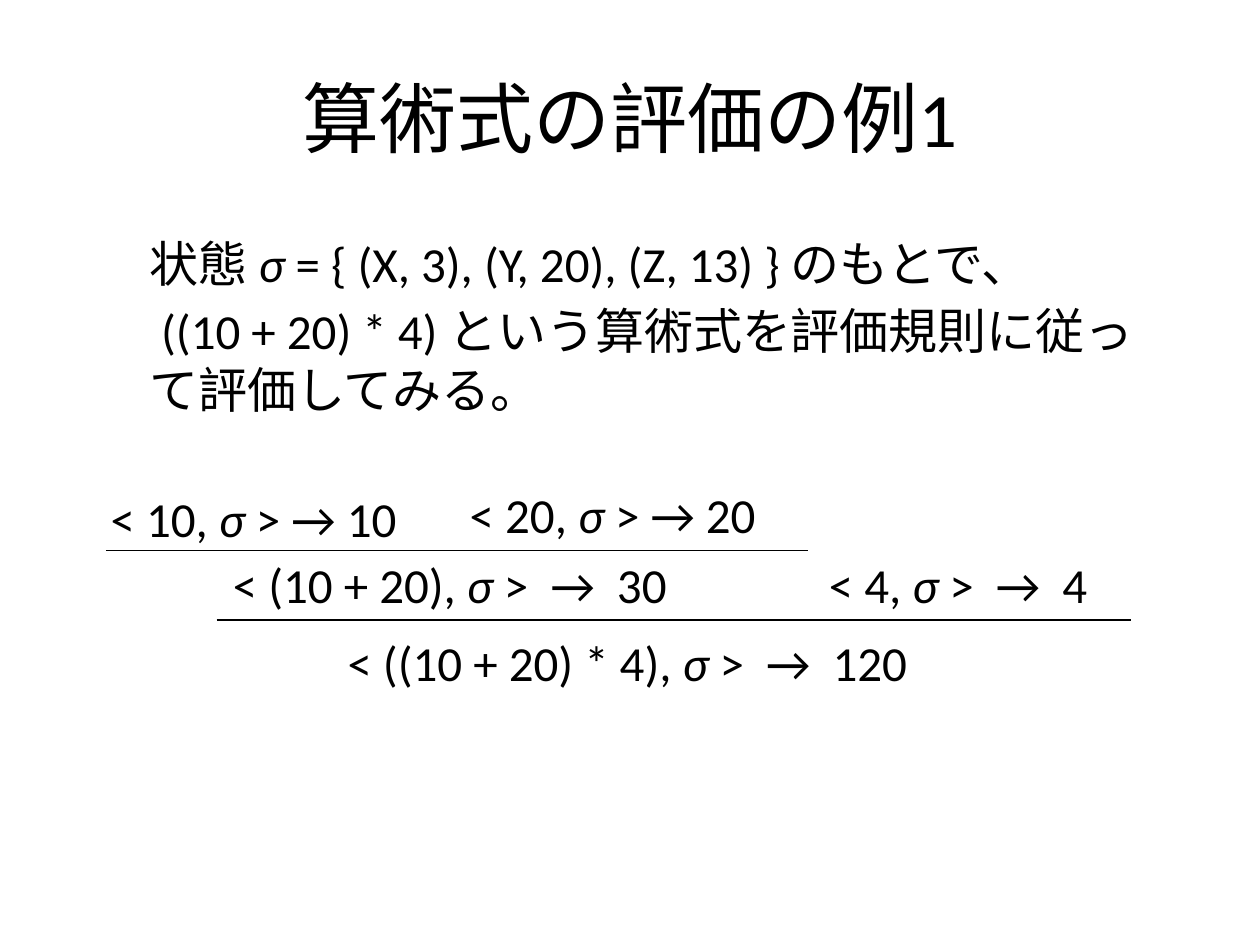
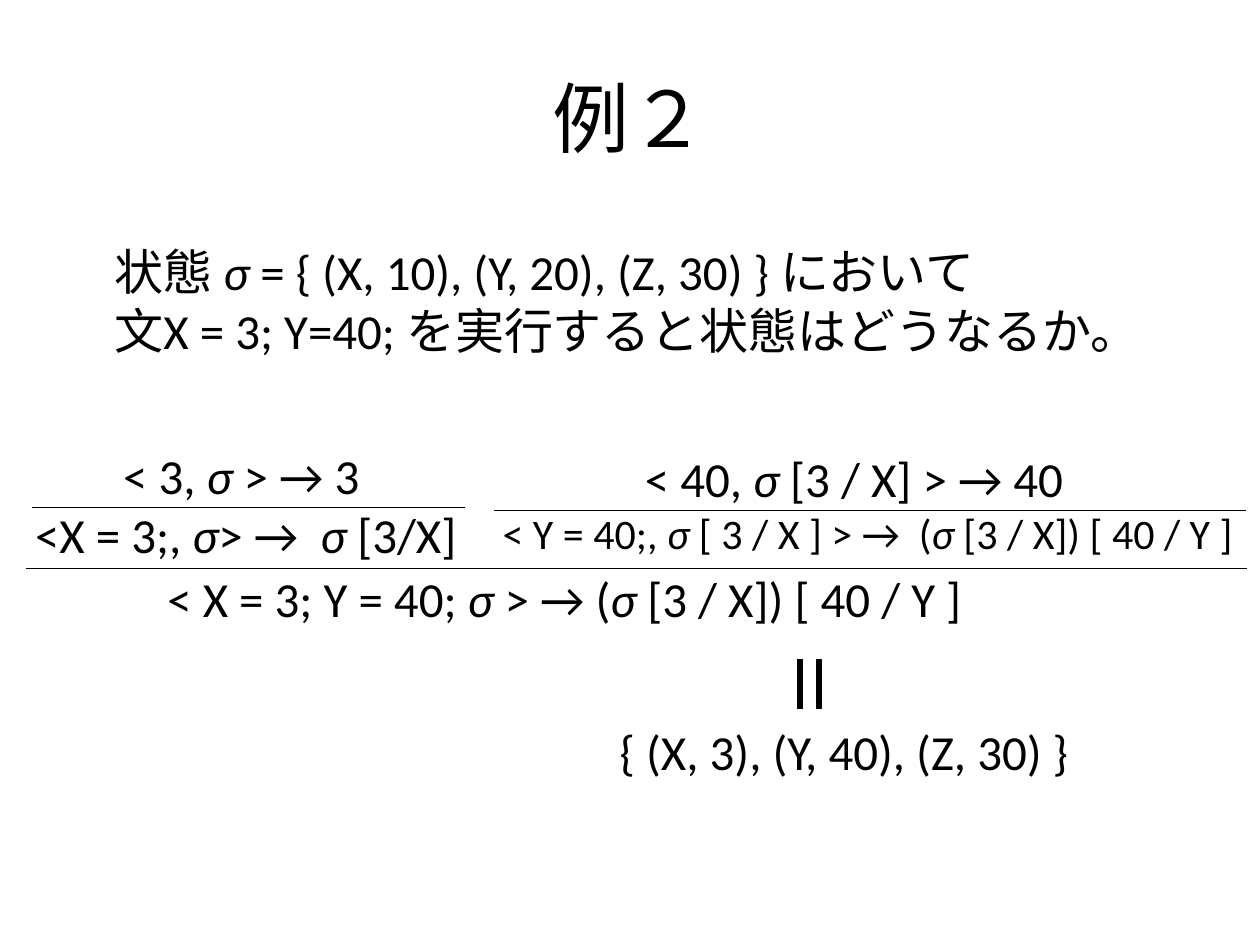
from lxml.etree import SubElement
from pptx import Presentation
from pptx.dml.color import RGBColor
from pptx.enum.shapes import MSO_CONNECTOR, MSO_SHAPE
from pptx.enum.text import MSO_ANCHOR, MSO_AUTO_SIZE, PP_ALIGN
from pptx.oxml.ns import qn
from pptx.util import Pt

PX = 9144
INK = "000000"
PAPER = "FFFFFF"
FONT = "Calibri"
BODY_SIZE = 28
TITLE_SIZE = 44
RULE_WIDTH = 0.75
TITLE_ONLY = 5


def px(*lengths):
    return [round(length * PX) for length in lengths]


def paint(color_format, color):
    color_format.rgb = RGBColor.from_string(color)


def paint_fill(fill, color):
    fill.solid()
    paint(fill.fore_color, color)


def add_run(paragraph, text, size, italic=False):
    run = paragraph.add_run()
    run.text = text
    run.font.name = FONT
    run.font.size = Pt(size)
    run.font.italic = italic
    paint(run.font.color, INK)


def write(paragraph, text, size=BODY_SIZE, indent=0, space=0, align=PP_ALIGN.LEFT):
    paragraph.alignment = align
    paragraph.space_before = Pt(space)
    if indent:
        properties = paragraph._p.get_or_add_pPr()
        properties.set("marL", "0")
        properties.set("indent", str(indent * PX))
    for position, part in enumerate(text.split("σ")):
        if position:
            add_run(paragraph, "σ", size, italic=True)
        if part:
            add_run(paragraph, part, size)


def text_box(slide, box, *lines, wrap=True):
    frame = slide.shapes.add_textbox(*px(*box)).text_frame
    frame.word_wrap = wrap
    frame.auto_size = MSO_AUTO_SIZE.SHAPE_TO_FIT_TEXT
    for number, (text, style) in enumerate(lines):
        paragraph = frame.add_paragraph() if number else frame.paragraphs[0]
        write(paragraph, text, **style)


def rule(slide, left, top, width):
    line = slide.shapes.add_connector(
        MSO_CONNECTOR.STRAIGHT, *px(left, top, left + width, top))
    paint(line.line.color, INK)
    line.line.width = Pt(RULE_WIDTH)
    SubElement(line._element.spPr, qn("a:effectLst"))


def titled_slide(deck, title):
    slide = deck.slides.add_slide(deck.slide_layouts[TITLE_ONLY])
    paint_fill(slide.background.fill, PAPER)
    heading = slide.shapes.title
    heading.left, heading.top, heading.width, heading.height = px(50, 30, 900, 125)
    heading.text_frame.vertical_anchor = MSO_ANCHOR.MIDDLE
    write(heading.text_frame.paragraphs[0], title, size=TITLE_SIZE,
          align=PP_ALIGN.CENTER)
    return slide


def arithmetic_derivation(slide, left, top):
    judgements = [
        (0, 3, 256, "< 10, σ > → 10"),
        (285, 0, 256, "< 20, σ > → 20"),
        (97, 55, 389, "< (10 + 20), σ >  →  30"),
        (570, 55, 252, "< 4, σ >  →  4"),
        (188, 117, 499, "< ((10 + 20) * 4), σ >  →  120"),
    ]
    for x, y, width, judgement in judgements:
        text_box(slide, (left + x, top + y, width, 57), (judgement, {}), wrap=False)
    rule(slide, left + 6, top + 57, 557)
    rule(slide, left + 94, top + 112, 726)


def assignment_step(slide, box, premise, conclusion, indent, size, bar):
    left, top, width, height = box
    text_box(slide, box, (premise, {"indent": indent}), (conclusion, {"size": size}))
    bar_offset, bar_width = bar
    rule(slide, left + bar_offset, top + 54, bar_width)


def final_state(slide, left, top):
    equal = slide.shapes.add_shape(
        MSO_SHAPE.MATH_EQUAL, *px(left + 134, top, 53, 40))
    equal.rotation = 270
    equal.adjustments[0] = 0.104
    equal.adjustments[1] = 0.276
    equal.shadow.inherit = False
    paint_fill(equal.fill, INK)
    paint(equal.line.color, INK)
    equal.line.width = Pt(RULE_WIDTH)
    text_box(slide, (left, top + 45, 436, 57), ("{ (X, 3), (Y, 40), (Z, 30) }", {}))


def execution_derivation(slide, left, top):
    assignment_step(slide, (left, top, 367, 104), "< 3, σ > → 3",
                    "<X = 3;, σ> →  σ [3/X]", indent=70, size=BODY_SIZE, bar=(7, 344))
    assignment_step(slide, (left + 371, top + 2, 625, 98), "< 40, σ [3 / X] > → 40",
                    "< Y = 40;, σ [ 3 / X ] > →  (σ [3 / X]) [ 40 / Y ]",
                    indent=113, size=24, bar=(3, 597))
    rule(slide, left + 3, top + 102, 969)
    text_box(slide, (left + 105, top + 97, 683, 57),
             ("< X = 3; Y = 40; σ > → (σ [3 / X]) [ 40 / Y ]", {}))
    final_state(slide, left + 464, top + 174)


def main():
    deck = Presentation()
    deck.slide_width, deck.slide_height = px(1000, 750)

    arithmetic = titled_slide(deck, "算術式の評価の例1")
    text_box(arithmetic, (109, 180, 812, 151),
             ("状態 σ = { (X, 3), (Y, 20), (Z, 13) } のもとで、", {}),
             ("((10 + 20) * 4) という算術式を評価規則に従って評価してみる。",
              {"indent": 9, "space": 5}))
    arithmetic_derivation(arithmetic, 78, 380)

    execution = titled_slide(deck, "例２")
    text_box(execution, (81, 187, 838, 104),
             ("状態 σ = { (X, 10), (Y, 20), (Z, 30) } において", {}),
             ("文X = 3; Y=40; を実行すると状態はどうなるか。", {}))
    execution_derivation(execution, 18, 349)

    deck.save("out.pptx")


if __name__ == "__main__":
    main()
